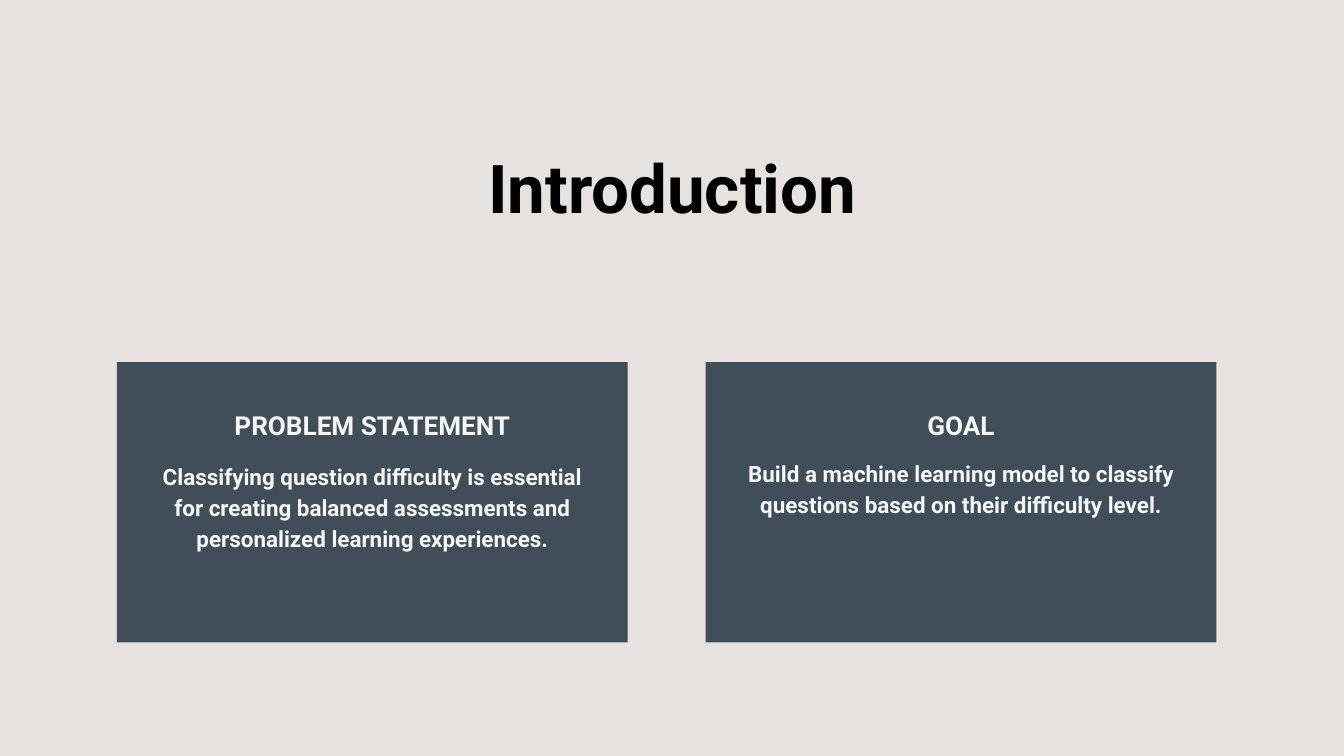
from pptx import Presentation
from pptx.dml.color import RGBColor
from pptx.enum.shapes import MSO_SHAPE as Shape
from pptx.enum.text import PP_ALIGN as Align
from pptx.util import Pt

COLORS = {"background": "E6E2DF", "card": "3F4E58", "title": "000000", "card_text": "F6F6F6"}
FONT = "Roboto"
LINE_SPACING = 1.4  # line height as a multiple of the text size

CARD_LEFT, CARD_TOP, CARD_WIDTH, CARD_HEIGHT = 125.3, 388.1, 547.2, 300.2
CARD_STEP = 630.7
CARD_PADDING = 39.6

# Heading, statement, distance from the card's top to the statement
CARDS = [
    ("PROBLEM STATEMENT",
     "Classifying question difficulty is essential for creating balanced "
     "assessments and personalized learning experiences.", 103),
    ("GOAL",
     "Build a machine learning model to classify questions based on their "
     "difficulty level.", 100),
]


def color(name):
    return RGBColor.from_string(COLORS[name])


def add_text(slide, text, left, top, width, height, *, size, fill, bold=True, align=Align.CENTER):
    frame = slide.shapes.add_textbox(Pt(left), Pt(top), Pt(width), Pt(height)).text_frame
    frame.word_wrap = True
    frame.margin_left = frame.margin_right = frame.margin_top = frame.margin_bottom = 0
    paragraph = frame.paragraphs[0]
    paragraph.alignment = align
    paragraph.line_spacing = Pt(size * LINE_SPACING)
    run = paragraph.add_run()
    run.text = text
    run.font.name = FONT
    run.font.size = Pt(size)
    run.font.bold = bold
    run.font.color.rgb = color(fill)


def add_title(slide, left, top, width, height):
    add_text(slide, "Introduction", left, top, width, height, size=72, fill="title")


def add_card(slide, heading, statement, statement_offset, left, top, width, height):
    panel = slide.shapes.add_shape(Shape.RECTANGLE, Pt(left), Pt(top), Pt(width), Pt(height))
    panel.shadow.inherit = False
    panel.fill.solid()
    panel.fill.fore_color.rgb = color("card")
    panel.line.fill.background()

    text_left, text_width = left + CARD_PADDING, width - 2 * CARD_PADDING
    add_text(slide, statement, text_left, top + statement_offset, text_width, 130,
             size=24, fill="card_text")
    add_text(slide, heading, text_left, top + 44.6, text_width, 37.4,
             size=28, fill="card_text")


def main():
    deck = Presentation()
    deck.slide_width, deck.slide_height = Pt(1440), Pt(810)
    slide = deck.slides.add_slide(deck.slide_layouts[6])
    slide.background.fill.solid()
    slide.background.fill.fore_color.rgb = color("background")

    add_title(slide, 239.8, 142.6, 961.2, 95.8)

    # Two cards side by side
    for column, (heading, statement, offset) in enumerate(CARDS):
        add_card(slide, heading, statement, offset,
                 CARD_LEFT + column * CARD_STEP, CARD_TOP, CARD_WIDTH, CARD_HEIGHT)

    deck.save("out.pptx")


if __name__ == "__main__":
    main()
